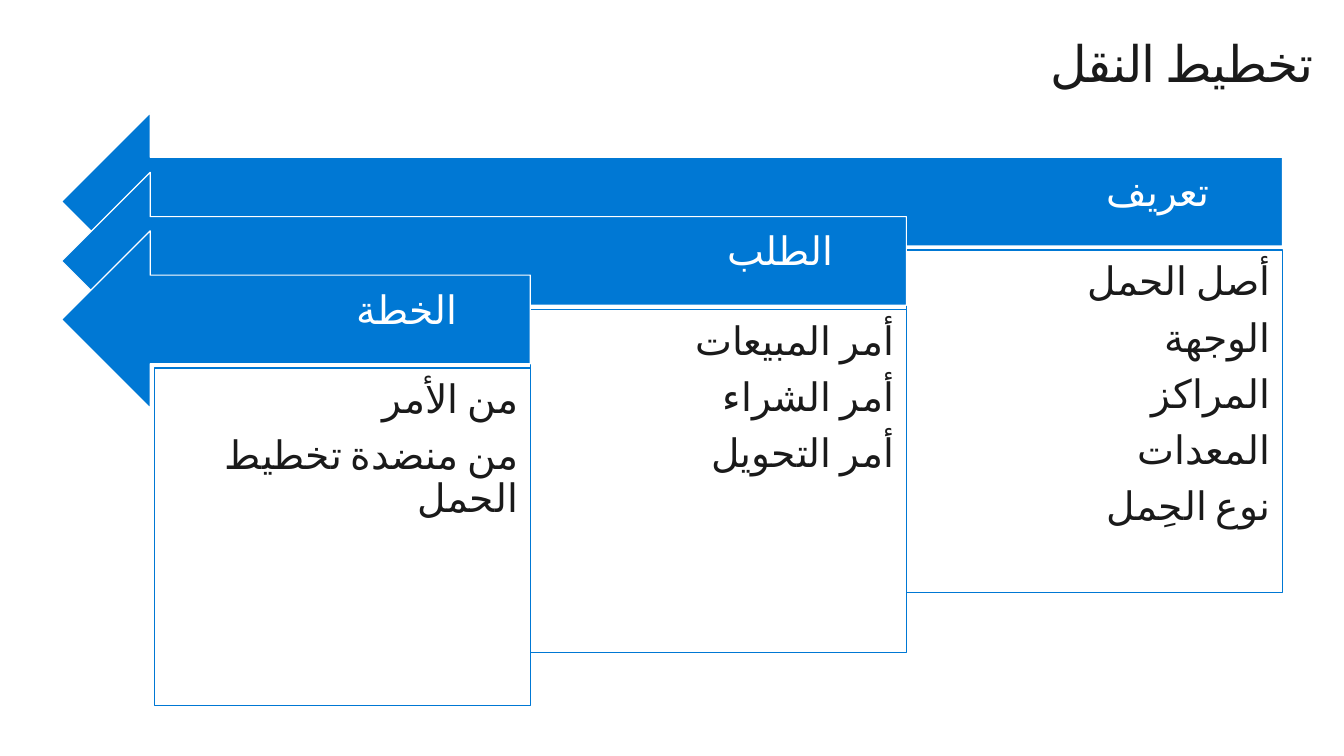
from lxml.etree import SubElement
from pptx import Presentation
from pptx.dml.color import RGBColor as RGB
from pptx.enum.lang import MSO_LANGUAGE_ID as Lang
from pptx.enum.shapes import MSO_SHAPE as Kind
from pptx.enum.text import MSO_ANCHOR as Anchor, PP_ALIGN as Align
from pptx.oxml.ns import qn
from pptx.util import Inches, Pt


class Theme:
    font = "Cabin"
    ink = RGB.from_string("1A1A1A")
    blue = RGB.from_string("0078D4")
    white = RGB.from_string("FFFFFF")
    title = Pt(36)
    body = Pt(28)
    line = Pt(0.85)


def write(shape, lines, size, color, pad, anchor=Anchor.TOP):
    """Fill a shape with right-to-left lines; pad is left, top, right, bottom."""
    frame = shape.text_frame
    frame.word_wrap = True
    frame.vertical_anchor = anchor
    (frame.margin_left, frame.margin_top,
     frame.margin_right, frame.margin_bottom) = map(Inches, pad)
    frame.text = "\n".join(lines)
    for par in frame.paragraphs:
        par.alignment = Align.RIGHT
        par._p.get_or_add_pPr().set("rtl", "1")
        for run in par.runs:
            run.font.size = size
            run.font.name = Theme.font
            run.font.language_id = Lang.ARABIC
            run.font.color.rgb = color
            SubElement(run.font._element, qn("a:cs"), typeface=Theme.font)
    return frame.paragraphs


def block(kind, place, fill, line):
    shape = slide.shapes.add_shape(kind, *map(Inches, place))
    shape.shadow.inherit = False
    shape.fill.solid()
    shape.fill.fore_color.rgb = fill
    shape.line.color.rgb = line
    shape.line.width = Theme.line
    return shape


deck = Presentation()
deck.slide_width, deck.slide_height = Inches(13.33), Inches(7.5)
slide = deck.slides.add_slide(deck.slide_layouts[6])

title = slide.shapes.add_textbox(*map(Inches, (0.29, 0.32, 12.74, 0.61)))
head = write(title, ["تخطيط النقل"], Theme.title, Theme.ink, (0, 0, 0, 0))
head[0].runs[0].font._element.set("spc", "-50")

# Stage name, arrow top, box height, box lines
stages = [
    ("تعريف", 1.12, 3.4,
     ["أصل الحمل", "الوجهة", "المراكز", "المعدات", "نوع الحِمل"]),
    ("الطلب", 1.71, 3.4, ["أمر المبيعات", "أمر الشراء", "أمر التحويل"]),
    ("الخطة", 2.29, 3.35, ["من الأمر", "من منضدة تخطيط الحمل"]),
]
tip, edge, wide = 0.61, 12.72, 3.73
tall, drop = 1.76, 1.36

for i, (name, top, high, lines) in enumerate(stages):
    right = edge - i * wide
    arrow = block(Kind.LEFT_ARROW, (tip, top, right - tip, tall),
                  Theme.blue, Theme.white)
    label = write(arrow, [name], Theme.body, Theme.white,
                  (0.12, 0.12, 0.72, 0.28), Anchor.MIDDLE)
    box = block(Kind.RECTANGLE, (right - wide, top + drop, wide, high),
                Theme.white, Theme.blue)
    items = write(box, lines, Theme.body, Theme.ink, (0.12,) * 4)
    for par in (*label, *items):
        par.line_spacing = 0.9
        par.space_after = Pt(9.8)

deck.save("out.pptx")
